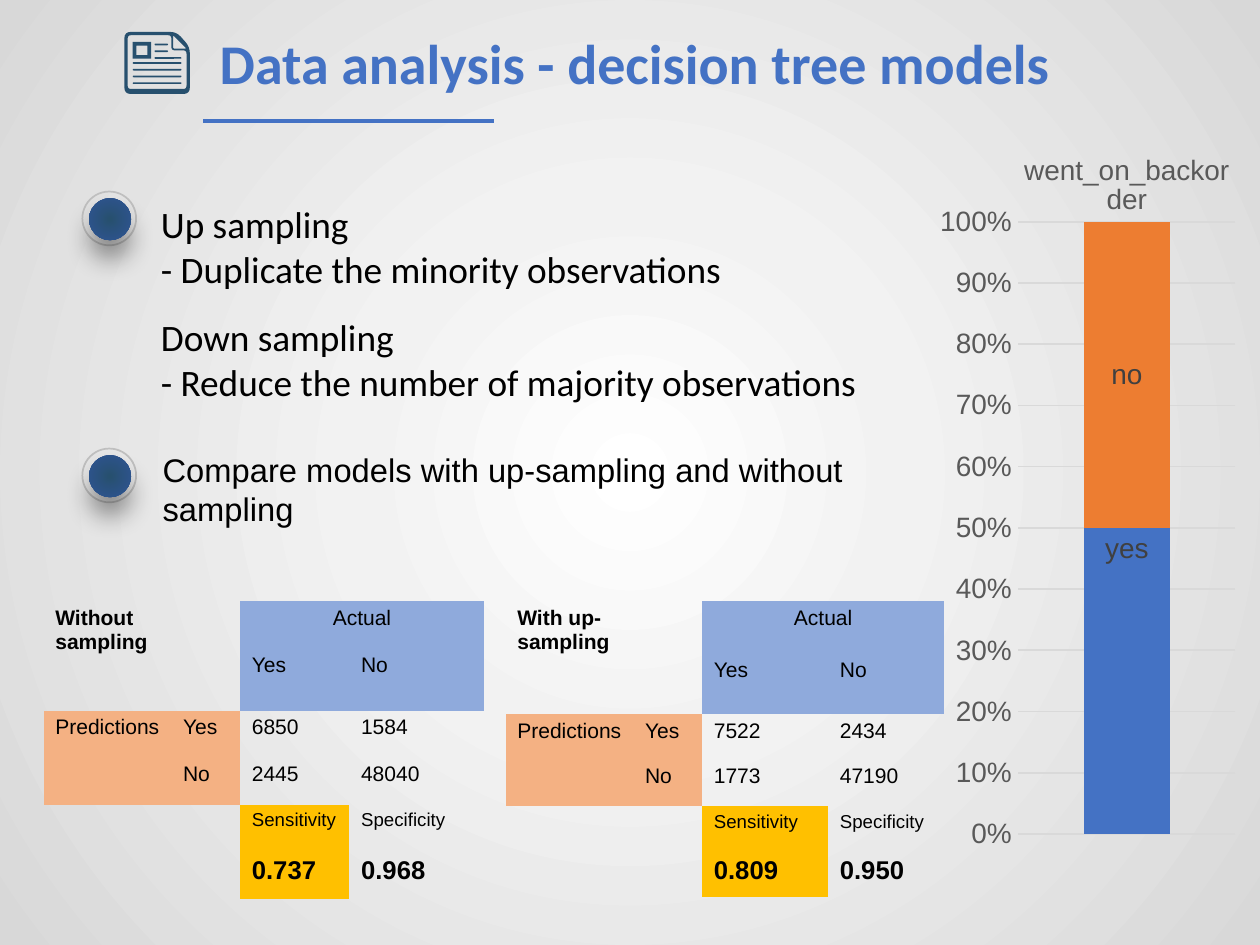
from lxml.etree import SubElement
from pptx import Presentation
from pptx.chart.data import CategoryChartData
from pptx.dml.color import RGBColor
from pptx.enum.chart import (XL_AXIS_CROSSES, XL_CHART_TYPE, XL_LABEL_POSITION,
                             XL_TICK_LABEL_POSITION, XL_TICK_MARK)
from pptx.enum.shapes import MSO_CONNECTOR, MSO_SHAPE
from pptx.enum.text import PP_ALIGN
from pptx.oxml.ns import qn
from pptx.util import Inches, Pt

COLORS = {
    "blue": "4472C4", "orange": "ED7D31", "navy": "27506E", "deep": "2F5496",
    "ring": "BFBFBF", "grid": "D9D9D9", "axis": "595959", "label": "404040",
    "actual": "8FAADC", "predicted": "F4B183", "gold": "FFC000", "black": "000000",
    "white": "FFFFFF", "pale": "F2F2F2", "edge": "D8D8D8",
}
NO_TABLE_STYLE = "{2D5ABB26-0587-4C30-8999-92F81FD0307C}"


def rgb(name):
    return RGBColor.from_string(COLORS[name])


def set_font(font, size, color="black", bold=False, name="Arial"):
    font.name, font.size, font.bold = name, Pt(size), bold
    font.color.rgb = rgb(color)


def write(frame, text, align=PP_ALIGN.LEFT, **font):
    """Fill a text frame, one paragraph for each line of text."""
    for number, line in enumerate(text.split("\n")):
        paragraph = frame.add_paragraph() if number else frame.paragraphs[0]
        paragraph.alignment = align
        run = paragraph.add_run()
        run.text = line
        set_font(run.font, **font)


def add_text(slide, box, text, **font):
    frame = slide.shapes.add_textbox(*map(Inches, box)).text_frame
    frame.word_wrap = True
    write(frame, text, **font)


def radial(fill, element, stops):
    """Turn a fill into a gradient that spreads from the centre."""
    fill.gradient()
    gradient = element.find(".//" + qn("a:gradFill"))
    for child in list(gradient):
        gradient.remove(child)
    stop_list = SubElement(gradient, qn("a:gsLst"))
    for position, color in stops:
        stop = SubElement(stop_list, qn("a:gs"), pos=str(position * 1000))
        SubElement(stop, qn("a:srgbClr"), val=COLORS[color])
    circle = SubElement(gradient, qn("a:path"), {"path": "circle"})
    SubElement(circle, qn("a:fillToRect"), {side: "50000" for side in "ltrb"})


def paint(shape, color):
    shape.shadow.inherit = False
    shape.fill.solid()
    shape.fill.fore_color.rgb = rgb(color)
    shape.line.fill.background()
    return shape


def add_solid(slide, kind, box, color):
    return paint(slide.shapes.add_shape(kind, *map(Inches, box)), color)


def rounded(corners, radius, steps=4):
    """Return the outline of a polygon with its corners rounded."""
    outline = []
    for i, (x, y) in enumerate(corners):
        ends = []
        for nx, ny in (corners[i - 1], corners[(i + 1) % len(corners)]):
            share = radius / ((nx - x) ** 2 + (ny - y) ** 2) ** 0.5
            ends.append((x + (nx - x) * share, y + (ny - y) * share))
        (ax, ay), (bx, by) = ends
        for step in range(steps + 1):
            t = step / steps
            a, c, b = (1 - t) ** 2, 2 * t * (1 - t), t * t
            outline.append((a * ax + c * x + b * bx, a * ay + c * y + b * by))
    return outline


def add_page_icon(slide, left, top):
    contours = [
        rounded([(0, 0), (0.31, 0), (0.39, 0.09), (0.39, 0.37), (0, 0.37)], 0.04),
        rounded([(0.02, 0.02), (0.28, 0.02), (0.28, 0.11), (0.37, 0.11),
                 (0.37, 0.34), (0.02, 0.34)], 0.02),
        rounded([(0.29, 0.02), (0.37, 0.1), (0.29, 0.1)], 0.01),
    ]
    builder = None
    for contour in contours:
        points = [(Inches(left + x), Inches(top + y)) for x, y in contour]
        if builder is None:
            builder = slide.shapes.build_freeform(*points[0])
        else:
            builder.move_to(*points[0])
        builder.add_line_segments(points[1:], close=True)
    paint(builder.convert_to_shape(), "navy")

    photo = add_solid(slide, MSO_SHAPE.FRAME, (left + 0.05, top + 0.06, 0.11, 0.1), "navy")
    photo.adjustments[0] = 0.22
    short_lines = [(0.18, 0.07, 0.08), (0.18, 0.11, 0.08), (0.18, 0.15, 0.16)]
    long_lines = [(0.05, 0.18 + 0.04 * row, 0.29) for row in range(4)]
    for x, y, width in short_lines + long_lines:
        bar = add_solid(slide, MSO_SHAPE.ROUNDED_RECTANGLE,
                        (left + x, top + y, width, 0.01), "navy")
        bar.adjustments[0] = 0.5


def add_header(slide, left, top):
    underline = slide.shapes.add_connector(
        MSO_CONNECTOR.STRAIGHT, *map(Inches, (left, top + 0.6, left + 1.73, top + 0.6)))
    underline.line.color.rgb = rgb("blue")
    underline.line.width = Pt(1.5)
    SubElement(underline.element.spPr, qn("a:effectLst"))
    add_text(slide, (left, top, 5.66, 0.5), "Data analysis - decision tree models",
             size=24, color="blue", bold=True, name="Calibri")
    add_page_icon(slide, left - 0.47, top + 0.07)


def add_button(slide, left, top):
    """Place a round bullet with a ring and a soft shadow."""
    ring = add_solid(slide, MSO_SHAPE.OVAL, (left, top, 0.32, 0.32), "white")
    ring.fill.background()
    ring.line.color.rgb = rgb("ring")
    ring.line.width = Pt(0.75)
    core = add_solid(slide, MSO_SHAPE.OVAL, (left + 0.04, top + 0.04, 0.25, 0.25), "navy")
    radial(core.fill, core.element, [(0, "navy"), (100, "deep")])
    shadow = SubElement(
        core.element.spPr.find(qn("a:effectLst")), qn("a:outerShdw"),
        blurRad=str(Pt(11)), dist=str(Pt(8)), dir="5400000", rotWithShape="0")
    tint = SubElement(shadow, qn("a:srgbClr"), val=COLORS["black"])
    SubElement(tint, qn("a:alpha"), val="40000")


def add_points(slide, left, top):
    add_button(slide, left, top)
    add_button(slide, left, top + 1.53)
    text_left = left + 0.37
    add_text(slide, (text_left, top + 0.01, 4.76, 0.64),
             "Up sampling\n- Duplicate the minority observations", size=16, name="Calibri")
    add_text(slide, (text_left, top + 0.68, 4.54, 0.64),
             "Down sampling\n- Reduce the number of majority observations",
             size=16, name="Calibri")
    add_text(slide, (text_left + 0.01, top + 1.49, 4.54, 0.57),
             "Compare models with up-sampling and without sampling", size=14)


def add_share_chart(slide, box):
    data = CategoryChartData()
    data.categories = ["went_on_backorder"]
    data.add_series("yes", [50])
    data.add_series("no", [50])
    chart = slide.shapes.add_chart(
        XL_CHART_TYPE.COLUMN_STACKED_100, *map(Inches, box), data).chart
    chart.has_legend = chart.has_title = False
    set_font(chart.font, 10)
    plot = chart.plots[0]
    plot.gap_width, plot.overlap, plot.vary_by_categories = 150, 100, False
    positions = (XL_LABEL_POSITION.INSIDE_END, XL_LABEL_POSITION.CENTER)
    for series, color, position in zip(plot.series, ("blue", "orange"), positions):
        series.format.fill.solid()
        series.format.fill.fore_color.rgb = rgb(color)
        labels = series.data_labels
        labels.show_series_name, labels.show_value = True, False
        labels.position = position
        set_font(labels.font, 12, "label")
    for axis in (chart.category_axis, chart.value_axis):
        axis.major_tick_mark = axis.minor_tick_mark = XL_TICK_MARK.NONE
        set_font(axis.tick_labels.font, 12, "axis")
    chart.category_axis.tick_label_position = XL_TICK_LABEL_POSITION.NEXT_TO_AXIS
    shares = chart.value_axis
    shares.crosses = XL_AXIS_CROSSES.MAXIMUM
    shares.minimum_scale = 0
    shares.tick_labels.number_format = "0%"
    shares.tick_labels.number_format_is_linked = False
    shares.format.line.fill.background()
    for rule in (chart.category_axis.format.line, shares.major_gridlines.format.line):
        rule.color.rgb = rgb("grid")
        rule.width = Pt(0.75)


def cell_color(row, column):
    if row < 2 <= column:
        return "actual"
    if row in (2, 3) and column < 2:
        return "predicted"
    return "gold" if row > 3 and column == 2 else None


def add_confusion_table(slide, box, title, widths, heights, counts, rates):
    table = slide.shapes.add_table(6, 4, *map(Inches, box)).table
    table.first_row = table.horz_banding = False
    table._tbl.tblPr.find(qn("a:tableStyleId")).text = NO_TABLE_STYLE
    for column, width in zip(table.columns, widths):
        column.width = Inches(width)
    for row, height in zip(table.rows, heights):
        row.height = Inches(height)
    texts = [
        [title, "", "Actual", ""],
        ["", "", "Yes", "No"],
        ["Predictions", "Yes", *counts[0]],
        ["", "No", *counts[1]],
        ["", "", "Sensitivity", "Specificity"],
        ["", "", *rates],
    ]
    for r, row in enumerate(texts):
        for c, text in enumerate(row):
            cell = table.cell(r, c)
            cell.margin_left = cell.margin_right = Inches(0.07)
            cell.margin_top = cell.margin_bottom = Inches(0.03)
            color = cell_color(r, c)
            if color:
                cell.fill.solid()
                cell.fill.fore_color.rgb = rgb(color)
            else:
                cell.fill.background()
            if text:
                write(cell.text_frame, text, size={4: 8, 5: 11}.get(r, 9),
                      bold=r == 5 or text == title,
                      align=PP_ALIGN.CENTER if text == "Actual" else PP_ALIGN.LEFT)
            else:
                SubElement(cell.text_frame.paragraphs[0]._p, qn("a:endParaRPr"), sz="800")
    for first, last in (((0, 0), (1, 1)), ((0, 2), (0, 3)), ((2, 0), (3, 0))):
        table.cell(*first).merge(table.cell(*last))


def main():
    deck = Presentation()
    deck.slide_width, deck.slide_height = Inches(7.5), Inches(7.5 * 3 / 4)
    slide = deck.slides.add_slide(deck.slide_layouts[6])
    radial(slide.background.fill, slide.element, [(0, "white"), (35, "pale"), (100, "edge")])
    add_header(slide, 1.21, 0.12)
    add_points(slide, 0.49, 1.14)
    add_share_chart(slide, (5.56, 0.84, 1.83, 4.3))
    add_confusion_table(
        slide, (0.26, 3.58, 2.62, 1.77), "Without sampling", (0.76, 0.41, 0.65, 0.8),
        (0.28, 0.37, 0.28, 0.28, 0.28, 0.28),
        [("6850", "1584"), ("2445", "48040")], ("0.737", "0.968"))
    add_confusion_table(
        slide, (3.01, 3.58, 2.61, 1.76), "With up-sampling", (0.76, 0.41, 0.75, 0.69),
        (0.31, 0.36, 0.27, 0.28, 0.27, 0.27),
        [("7522", "2434"), ("1773", "47190")], ("0.809", "0.950"))
    deck.save("out.pptx")


if __name__ == "__main__":
    main()
